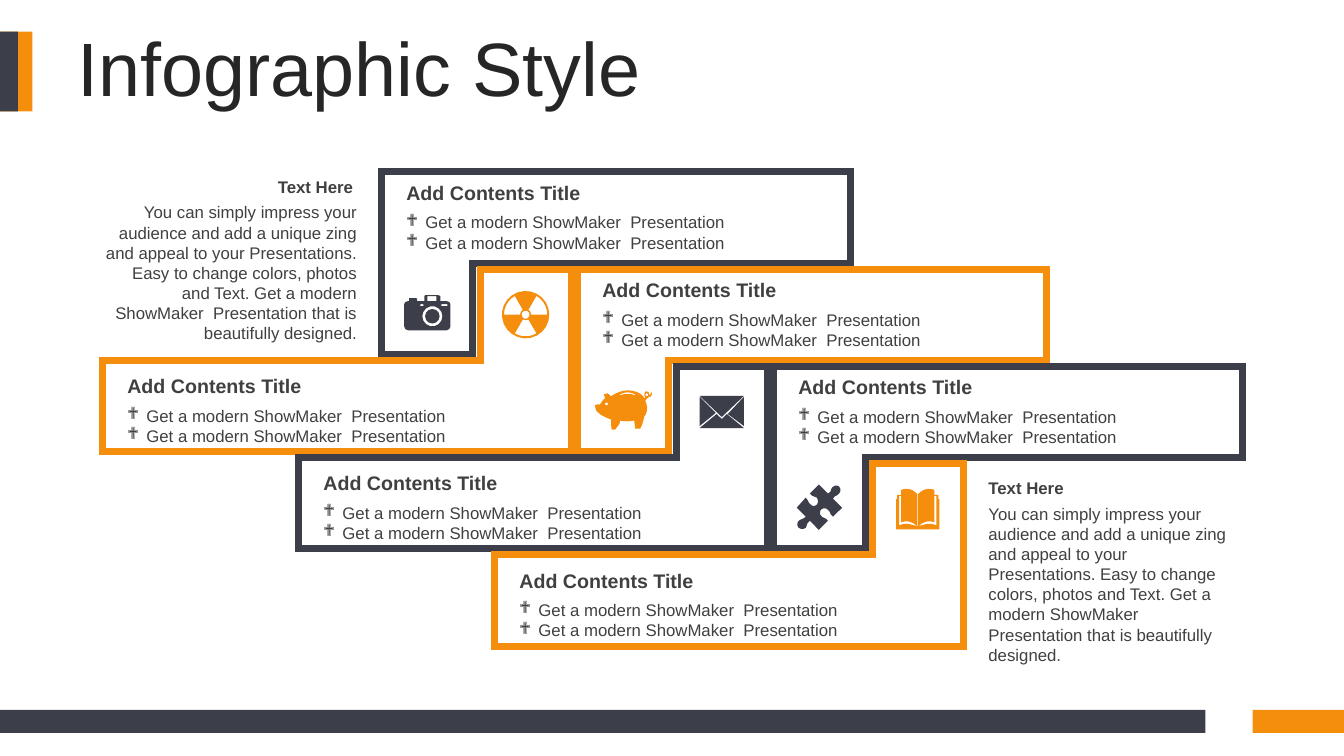
from math import cos, dist, radians, sin

from lxml.etree import SubElement
from pptx import Presentation
from pptx.dml.color import RGBColor
from pptx.enum.shapes import MSO_SHAPE
from pptx.enum.text import MSO_ANCHOR, MSO_AUTO_SIZE, PP_ALIGN
from pptx.oxml.ns import qn
from pptx.util import Cm, Pt

DARK, GOLD, WHITE, INK, GREY = "3C3E4A", "F48E0C", "FFFFFF", "262626", "404040"
UNIT = 0.0254
WIDE, TALL, ARM = 11.81, 4.6, 2.3
STEP_X, STEP_Y = 4.94, 2.45
ITEM = "Get a modern ShowMaker  Presentation"
NOTE = ("You can simply impress your audience and add a unique zing and appeal "
        "to your Presentations. Easy to change colors, photos and Text. "
        "Get a modern ShowMaker  Presentation that is beautifully designed.")


def tint(code):
    """Turn a hex string into a colour."""
    return RGBColor.from_string(code)


def apply(item, vals):
    """Set each attribute in a dict on an item."""
    for key, val in vals.items():
        setattr(item, key, val)


def paint(shape, fill, line=None, width=5):
    """Give a shape a flat fill and an optional sharp outline."""
    shape.shadow.inherit = False
    shape.fill.solid()
    shape.fill.fore_color.rgb = tint(fill)
    if line:
        shape.line.color.rgb = tint(line)
        shape.line.width = Pt(width)
        edge = shape._element.spPr.find(qn("a:ln"))
        SubElement(edge, qn("a:miter")).set("lim", "800000")
    else:
        shape.line.fill.background()


def arc(x, y, r, start, end, count):
    """List points along a circular arc."""
    turns = [radians(start + (end - start) * k / count) for k in range(count + 1)]
    return [(x + r * cos(t), y + r * sin(t)) for t in turns]


def disc(x, y, r):
    """List points around a circle, more for a larger one."""
    return arc(x, y, r, 0, 360, int(8 + r / 1.5))[:-1]


def wedge(x, y, near, far, start):
    """List the points of a ring sector sixty degrees wide."""
    end = start + 60
    return arc(x, y, far, start, end, 5) + arc(x, y, near, end, start, 2)


def pair(text):
    """Read one point."""
    x, y = text.split(",")
    return float(x), float(y)


def curve(ends):
    """List points along a cubic curve, more for a longer one."""
    count = min(4, 1 + int(dist(ends[0], ends[3]) / 3))
    pts = []
    for k in range(1, count + 1):
        t, u = k / count, 1 - k / count
        rates = (u ** 3, 3 * u * u * t, 3 * u * t * t, t ** 3)
        pts.append(tuple(sum(r * p[i] for r, p in zip(rates, ends)) for i in (0, 1)))
    return pts


def trace(text):
    """Read closed rings: M opens a ring, C takes three curve points."""
    rings = []
    for part in text.split("M")[1:]:
        marks = iter(part.split())
        pts = [pair(next(marks))]
        for mark in marks:
            if mark[0] == "C":
                ends = [pts[-1], pair(mark[1:]), pair(next(marks)), pair(next(marks))]
                pts += curve(ends)
            else:
                pts.append(pair(mark))
        rings.append(pts)
    return rings


CAMERA = trace(
    "M21,0 34,0 C35,0 36,0 36,1 36,6 42,6 C44,6 46,7 46,9 46,31 C46,33 44,35 42,35 "
    "4,35 C2,35 0,33 0,31 0,9 C0,7 2,6 4,6 5,6 5,3 12,3 13,4 13,6 20,6 20,1 "
    "M16,9 16,11 19,11 19,9 M37,9 37,11 43,11 43,9 "
    "M23,1 23,6 32,6 32,1") + [disc(28, 21, 10), disc(28, 21, 7.2)]
ATOM = [disc(23.5, 23.5, r) for r in (23.5, 4)] + [
    wedge(23.5, 23.5, 5.5, 21.5, start) for start in (60, 180, 300)]
PIG = trace(
    "M32,0 C38,0 45,2 48,6 49,8 50,7 C49,6 49,5 49,4 C49,2 50,1 51,1 "
    "C53,1 54,2 54,4 54,5 C54,5 56,5 56,1 C58,5 55,7 53,7 C52,8 51,9 50,10 "
    "51,13 C53,18 51,24 49,26 C48,31 47,34 45,38 40,38 C40,35 39,32 39,30 "
    "C34,31 29,31 25,30 C25,34 22,36 20,39 17,39 C16,38 16,32 16,29 C11,27 -1,23 0,15 "
    "C0,14 3,14 5,14 C7,12 7,10 10,8 9,4 C14,1 14,5 16,6 C20,3 27,0 32,0 "
    "M32,2 C30,2 27,3 25,4 25,5 C30,3 35,3 40,5 40,4 C38,3 35,2 32,2"
) + [disc(11.5, 13.5, 1.5), disc(51.5, 4.5, 1.5)]
MAIL = trace("M27,18 44,32 0,32 17,18 22,23 M44,1 44,30 28,18 "
             "M0,1 16,17 0,30 M0,0 44,0 22,21")
PUZZLE = trace(
    "M42,2 C44,4 44,7 42,9 C40,12 38,10 36,14 45,23 36,32 C32,29 34,27 31,25 "
    "C29,23 26,23 24,25 C23,26 22,30 25,32 C28,34 29,33 31,36 22,45 13,36 "
    "C9,39 11,40 9,43 C7,45 3,44 2,43 C0,41 0,38 2,36 C4,34 6,35 9,32 0,23 9,13 "
    "C12,16 11,18 14,20 C16,22 18,22 20,20 C21,19 22,15 20,13 C17,11 16,13 13,9 "
    "22,0 31,9 C35,7 33,6 35,3 C38,0 41,1 42,2")
BOOK = trace(
    "M0,10 1,10 1,6 5,6 5,1 C7,0 9,0 11,0 C15,0 18,2 21,5 22,5 C25,2 28,0 32,0 "
    "C34,0 36,0 38,1 38,6 42,6 42,10 43,10 43,40 0,40 M21.2,5 21.8,5 21.8,37 21.2,37 "
    "M21,37 C16,32 10,31 5,33 5,7 3,7 3,36 C10,33 14,35 21,37 "
    "M22,37 C29,35 33,33 40,36 40,7 38,7 38,33 C33,31 27,32 22,37")


def draw(slide, rings):
    """Build one outline from rings of points in centimetres."""
    rings = [[(Cm(x), Cm(y)) for x, y in ring] for ring in rings]
    pen = slide.shapes.build_freeform(*rings[0][0])
    for k, ring in enumerate(rings):
        if k:
            pen.move_to(*ring[0])
        pen.add_line_segments(ring[1:], close=True)
    return pen.convert_to_shape()


def icon(slide, rings, mid_x, mid_y, hue):
    """Centre an icon on a point."""
    xs, ys = zip(*(p for ring in rings for p in ring))
    left, top = (min(xs) + max(xs)) / 2, (min(ys) + max(ys)) / 2
    rings = [[(mid_x + (x - left) * UNIT, mid_y + (y - top) * UNIT) for x, y in ring]
             for ring in rings]
    paint(draw(slide, rings), hue)


def label(slide, box, lines, size, bold=False, align=PP_ALIGN.LEFT, mark=None):
    """Write lines of text in a box, with an optional bullet."""
    frame = slide.shapes.add_textbox(*map(Cm, box)).text_frame
    apply(frame, {"word_wrap": True, "auto_size": MSO_AUTO_SIZE.SHAPE_TO_FIT_TEXT})
    for k, line in enumerate(lines):
        para = frame.add_paragraph() if k else frame.paragraphs[0]
        para.text = line
        para.alignment = align
        if mark:
            props = para._p.get_or_add_pPr()
            props.set("marL", str(Cm(0.48)))
            props.set("indent", str(-Cm(0.48)))
            SubElement(props, qn("a:buFont")).set("typeface", "Wingdings")
            SubElement(props, qn("a:buChar")).set("char", mark)
        apply(para.font, {"name": "Arial", "size": Pt(size), "bold": bold})
        para.font.color.rgb = tint(GREY)


def card(slide, left, top, rings, hue, up):
    """Place an L-shaped card whose arm hangs down or stands up."""
    if up:
        ends = [(0, 0), (WIDE, 0), (WIDE, ARM), (ARM, ARM), (ARM, TALL), (0, TALL)]
    else:
        ends = [(WIDE - ARM, 0), (WIDE, 0), (WIDE, TALL), (0, TALL), (0, ARM),
                (WIDE - ARM, ARM)]
    paint(draw(slide, [[(left + x, top + y) for x, y in ends]]), WHITE, hue)
    mid_x = ARM / 2 if up else WIDE - ARM / 2
    mid_y = TALL - ARM / 2 + 0.1 if up else ARM / 2
    icon(slide, rings, left + mid_x, top + mid_y, hue)
    text_x, text_y = left + 0.37, top + (0.1 if up else ARM + 0.22)
    label(slide, (text_x, text_y, 9.07, 0.86), ["Add Contents Title"], 14, True)
    label(slide, (text_x, text_y + 0.79, 9.07, 1.27), [ITEM] * 2, 12, mark="❖")


def note(slide, left, top, width, align):
    """Place a side note with its heading."""
    label(slide, (left, top, width - 0.1, 0.76), ["Text Here"], 12, True, align)
    label(slide, (left, top + 0.65, width, 3.84), [NOTE], 12, align=align)


def header(slide, left, top, width, height):
    """Place the title and the two tabs beside it."""
    title = slide.shapes.title
    apply(title, dict(zip(("left", "top", "width", "height"),
                          map(Cm, (left, top, width, height)))))
    frame = title.text_frame
    apply(frame, {"text": "Infographic Style", "word_wrap": True,
                  "vertical_anchor": MSO_ANCHOR.MIDDLE})
    para = frame.paragraphs[0]
    apply(para, {"alignment": PP_ALIGN.LEFT, "line_spacing": 0.9})
    apply(para.font, {"name": "Arial", "size": Pt(54)})
    para.font.color.rgb = tint(INK)
    bar(slide, (0, top, 0.82, height), GOLD)
    bar(slide, (0, top, 0.45, height), DARK)


def bar(slide, box, hue):
    """Place a plain bar."""
    paint(slide.shapes.add_shape(MSO_SHAPE.RECTANGLE, *map(Cm, box)), hue)


def main():
    """Build and save the slide."""
    deck = Presentation()
    apply(deck, {"slide_width": Cm(33.87), "slide_height": Cm(19.05)})
    slide = deck.slides.add_slide(deck.slide_layouts[5])
    header(slide, 1.7, 0.8, 31.34, 2.01)
    bar(slide, (31.57, 17.89, 2.3, 0.58), GOLD)
    bar(slide, (0, 17.89, 30.38, 0.58), DARK)
    pairs = [(CAMERA, ATOM), (PIG, MAIL), (PUZZLE, BOOK)]
    for k, (high, low) in enumerate(pairs):
        hues = (GOLD, DARK) if k % 2 else (DARK, GOLD)
        x, y = k * STEP_X, k * STEP_Y
        card(slide, 9.62 + x, 4.33 + y, high, hues[0], True)
        card(slide, 2.59 + x, 4.33 + STEP_Y + y, low, hues[1], False)
    note(slide, 2.29, 4.32, 6.96, PP_ALIGN.RIGHT)
    note(slide, 24.66, 11.91, 6.81, PP_ALIGN.LEFT)
    deck.save("out.pptx")


if __name__ == "__main__":
    main()
